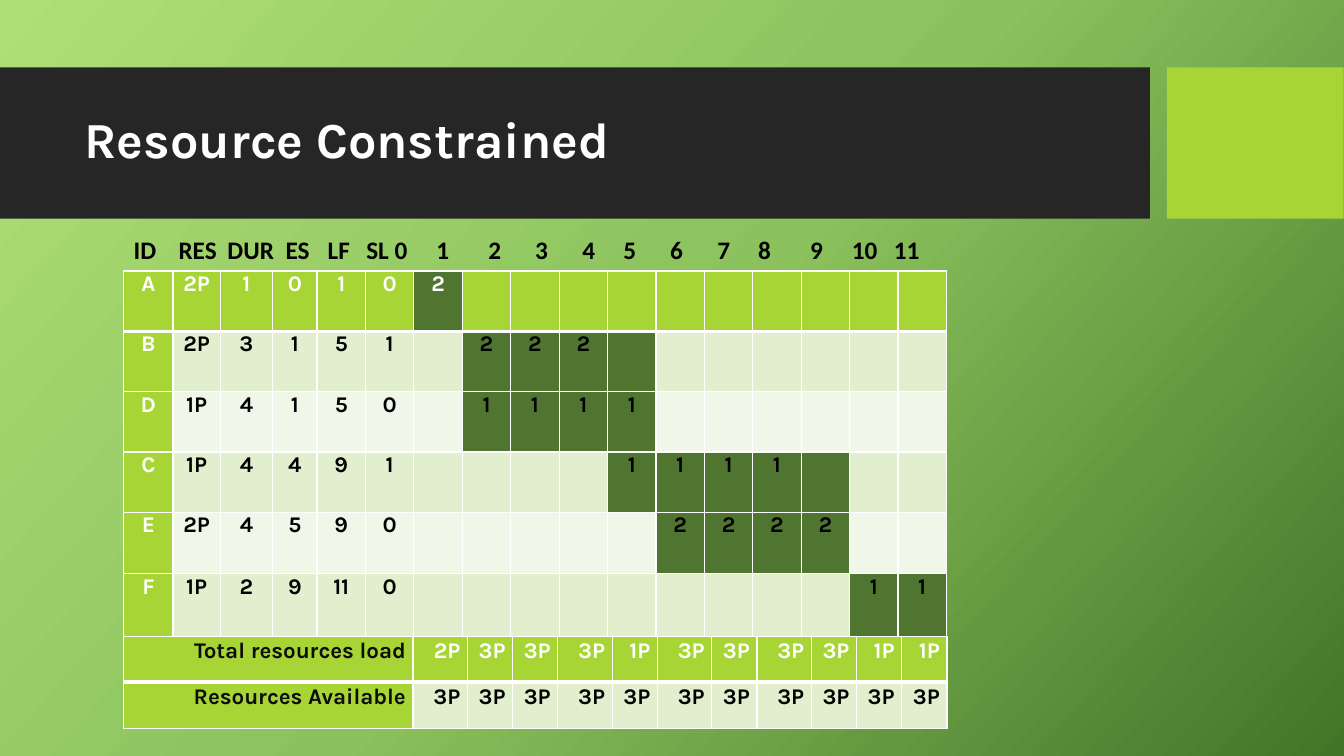
from copy import deepcopy

from lxml.etree import SubElement
from pptx import Presentation
from pptx.dml.color import RGBColor
from pptx.enum.shapes import MSO_SHAPE as SHAPE
from pptx.enum.text import MSO_ANCHOR as ANCHOR, PP_ALIGN as ALIGN
from pptx.oxml.ns import qn
from pptx.util import Cm, Pt

LIME, DARK, WHITE, BLACK = "A7D535", "507531", "FFFFFF", "000000"
BANDS = ["E1EFCE", "F1F7E8"]
PERIODS = 11
TABLE_LEFT, TABLE_WIDTH = 3.12, 20.73

# ID, people, duration, early start, late finish, slack
TASKS = [
    ("A", 2, 1, 0, 1, 0),
    ("B", 2, 3, 1, 5, 1),
    ("D", 1, 4, 1, 5, 0),
    ("C", 1, 4, 4, 9, 1),
    ("E", 2, 4, 5, 9, 0),
    ("F", 1, 2, 9, 11, 0),
]
TASK_COLS = [1.24, 1.19, 1.32, 1.12] + [1.22] * (2 + PERIODS)
TASK_ROWS = [1.52] * 4 + [1.55, 1.6]
LOADS = [2, 3, 3, 3, 1, 3, 3, 3, 3, 1, 1]
AVAILABLE = 3
WIDE, NARROW = 1.37, 1.14
LOAD_COLS = [7.29, WIDE, NARROW, NARROW] + [WIDE, NARROW] * 3 + [NARROW] * 2

# Heading and the centre of its tab stop
HEADINGS = [
    ("RES", 1.61), ("DUR", 2.95), ("ES", 4.13), ("LF", 5.17), ("SL 0", 6.38),
    ("1", 7.79), ("2", 9.1), ("3", 10.28), ("4", 11.47), ("5", 12.5),
    ("6", 13.68), ("7", 14.87), ("8", 15.9), ("9", 17.21), ("10", 18.42),
    ("11", 19.48),
]


def color(hex_str):
    return RGBColor.from_string(hex_str)


def write(tf, text, size=16, font="Karla", fg=BLACK, align=ALIGN.LEFT,
          spacing=None, after=None):
    p = tf.paragraphs[0]
    p.alignment, p.line_spacing = align, spacing
    if after is not None:
        p.space_after = Pt(after)
    r = p.add_run()
    r.text = text
    r.font.size, r.font.name, r.font.bold = Pt(size), font, True
    r.font.color.rgb = color(fg)
    return p


def add_background(slide):
    fill = slide.background.fill
    fill.gradient()
    fill.gradient_angle = 318
    stop_list = slide.element.find(".//" + qn("a:gsLst"))
    stop_list.append(deepcopy(stop_list[-1]))
    stops = [(0, "AFDE77"), (0.5, "8BC25D"), (1, "437528")]
    for stop, (position, shade) in zip(fill.gradient_stops, stops):
        stop.position = position
        stop.color.rgb = color(shade)


def add_block(slide, left, width, shade):
    sp = slide.shapes.add_shape(SHAPE.RECTANGLE, Cm(left), Cm(1.7),
                                Cm(width), Cm(3.81))
    sp.shadow.inherit = False
    sp.fill.solid()
    sp.fill.fore_color.rgb = color(shade)
    sp.line.fill.background()


def add_text(slide, text, left, top, width, height, anchor=ANCHOR.TOP, **fmt):
    tf = slide.shapes.add_textbox(Cm(left), Cm(top), Cm(width), Cm(height)).text_frame
    tf.word_wrap = True
    tf.vertical_anchor = anchor
    return write(tf, text, **fmt)


def add_headings(slide):
    text = "\t".join(["ID"] + [name for name, _ in HEADINGS])
    p = add_text(slide, text, TABLE_LEFT, 5.79, 31.9, 1.02, size=18, font="Calibri")
    tabs = SubElement(p.runs[0].font._element.getparent().getparent()
                      .get_or_add_pPr(), qn("a:tabLst"))
    for _, centre in HEADINGS:
        SubElement(tabs, qn("a:tab"), pos=str(Cm(centre)), algn="ctr")


def set_borders(cell, top, bottom):
    """Draw white lines; top and bottom are widths in points."""
    tc_pr = cell._tc.get_or_add_tcPr()
    sides = [("L", 1), ("R", 1), ("T", top), ("B", bottom)]
    for i, (side, width) in enumerate(sides):
        ln = SubElement(tc_pr, qn("a:ln" + side), w=str(Pt(width)))
        fill = SubElement(ln, qn("a:solidFill"))
        SubElement(fill, qn("a:srgbClr"), val=WHITE)
        tc_pr.insert(i, ln)


def add_grid(slide, top, cols, rows, cells, **fmt):
    """Add a table from rows of (text, fill, text colour)."""
    table = slide.shapes.add_table(len(rows), len(cols), Cm(TABLE_LEFT), Cm(top),
                                   Cm(TABLE_WIDTH), Cm(sum(rows))).table
    table.first_row = table.horz_banding = False
    for col, width in zip(table.columns, cols):
        col.width = Cm(width)
    for i, (row, height) in enumerate(zip(table.rows, rows)):
        row.height = Cm(height)
        for cell, (text, shade, fg) in zip(row.cells, cells[i]):
            cell.margin_left = cell.margin_right = Cm(0.18)
            cell.margin_top = cell.margin_bottom = 0
            cell.fill.solid()
            cell.fill.fore_color.rgb = color(shade)
            set_borders(cell, 3 if i == 1 else 1, 3 if i == 0 else 1)
            if text:
                write(cell.text_frame, text, fg=fg, **fmt)


def task_cells(index, task):
    """Shade early start to late finish and put the load in the working periods."""
    name, people, duration, start, finish, slack = task
    band, fg = (BANDS[(index - 1) % 2], BLACK) if index else (LIME, WHITE)
    facts = [f"{people}P", duration, start, finish, slack]
    cells = [(name, LIME, WHITE)] + [(str(fact), band, fg) for fact in facts]
    for period in range(PERIODS):
        load = str(people) if start <= period < start + duration else ""
        cells.append((load, DARK if start <= period < finish else band, fg))
    return cells


def load_cells(label, people, shade, fg):
    return [(label, LIME, "0D0D0D")] + [(f"{n}P", shade, fg) for n in people]


def main():
    prs = Presentation()
    prs.slide_width, prs.slide_height = Cm(33.87), Cm(19.05)
    slide = prs.slides.add_slide(prs.slide_layouts[6])
    add_background(slide)
    add_block(slide, 0, 28.98, "262626")
    add_block(slide, 29.41, 4.45, LIME)
    add_text(slide, "Resource Constrained", 1.88, 2.08, 26.7, 3,
             anchor=ANCHOR.MIDDLE, size=36, fg=WHITE, spacing=0.9)
    add_headings(slide)
    add_grid(slide, 6.83, TASK_COLS, TASK_ROWS,
             [task_cells(i, task) for i, task in enumerate(TASKS)],
             align=ALIGN.CENTER)
    add_grid(slide, 16.03, LOAD_COLS, [1.16] * 2,
             [load_cells("Total resources load", LOADS, LIME, WHITE),
              load_cells("Resources Available", [AVAILABLE] * PERIODS,
                         BANDS[0], BLACK)],
             align=ALIGN.RIGHT, spacing=1.07, after=8)
    prs.save("out.pptx")


if __name__ == "__main__":
    main()
